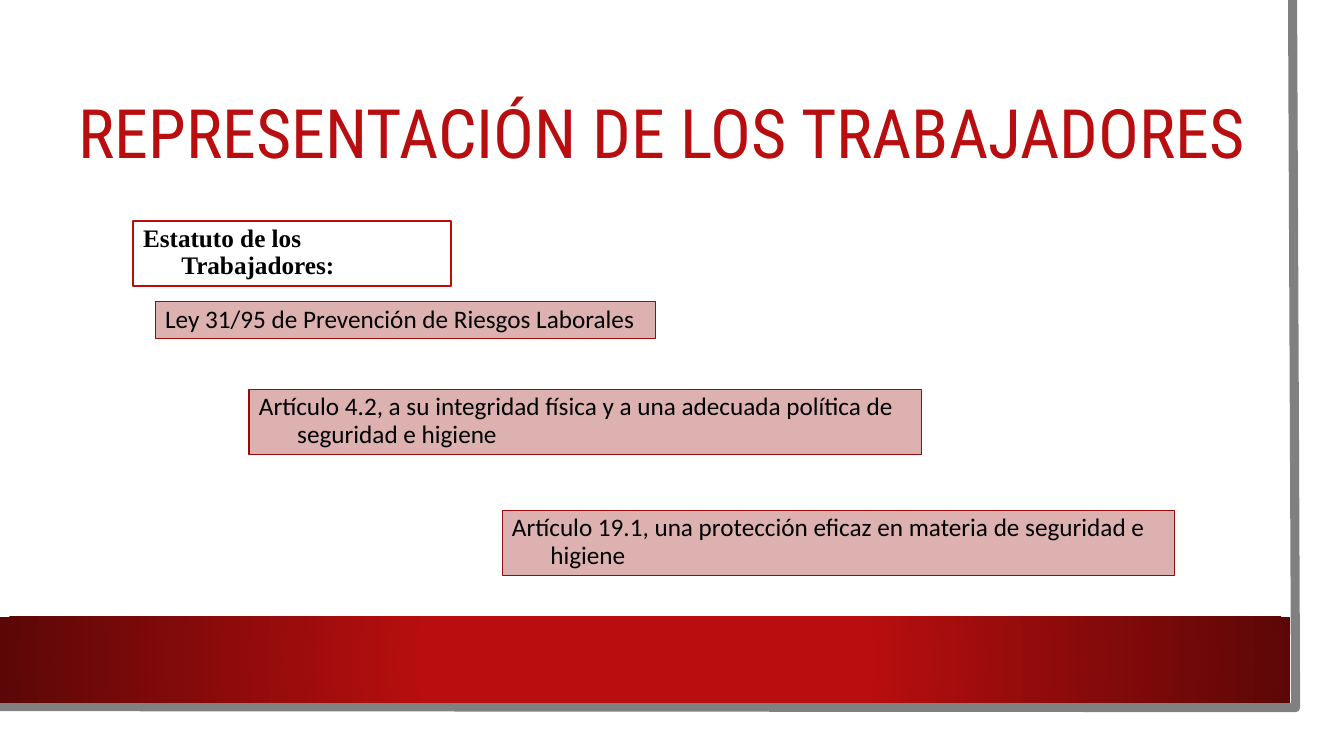
"""Build the slide on workers' representation."""
from dataclasses import dataclass

from lxml.etree import SubElement
from pptx import Presentation
from pptx.dml.color import RGBColor
from pptx.enum.shapes import MSO_SHAPE
from pptx.enum.text import MSO_ANCHOR, MSO_AUTO_SIZE, PP_ALIGN
from pptx.oxml import parse_xml
from pptx.oxml.ns import nsdecls, qn
from pptx.shapes.autoshape import Shape
from pptx.slide import Slide
from pptx.text.text import _Paragraph as Paragraph
from pptx.util import Inches, Pt

RED = "B80E0F"
DARK_RED = "5C0707"
GREY = "808080"


@dataclass
class LawBox:
    left: float
    top: float
    width: float
    height: float
    text: str
    font: str = "Calibri"
    bold: bool = False
    fill: str = "DEB1B1"
    line: str = "930B0C"
    line_width: float = 0.75


LAW_BOXES = [
    LawBox(1.32, 2.19, 3.15, 0.65, "Estatuto de los Trabajadores:",
           "Times New Roman", True, "FFFFFF", RED, 1.5),
    LawBox(1.54, 2.99, 4.96, 0.37, "Ley 31/95 de Prevención de Riesgos Laborales"),
    LawBox(4.98, 5.06, 6.67, 0.65,
           "Artículo 19.1, una protección eficaz en materia de seguridad e higiene"),
    LawBox(2.47, 3.86, 6.67, 0.65,
           "Artículo 4.2, a su integridad física y a una adecuada política de seguridad e higiene"),
]


def color(value: str) -> RGBColor:
    return RGBColor.from_string(value)


def format_paragraph(para: Paragraph, font: str, size: float, ink: str, bold: bool = False) -> None:
    para.alignment = PP_ALIGN.LEFT
    para.line_spacing = 0.9
    for span in para.runs:
        span.font.name = font
        span.font.size = Pt(size)
        span.font.bold = bold
        span.font.color.rgb = color(ink)


def add_rectangle(page: Slide, left: float, top: float, width: float, height: float) -> Shape:
    box = page.shapes.add_shape(
        MSO_SHAPE.RECTANGLE, Inches(left), Inches(top), Inches(width), Inches(height))
    box.shadow.inherit = False
    return box


def add_edge(page: Slide) -> None:
    builder = page.shapes.build_freeform(Inches(12.82), 0, scale=1.0)
    corners = [(Inches(12.85), Inches(7.02)), (Inches(-0.03), Inches(7.01))]
    builder.add_line_segments(corners, close=False)
    edge = builder.convert_to_shape()
    edge.shadow.inherit = False
    edge.fill.background()
    edge.line.color.rgb = color(GREY)
    edge.line.width = Pt(6.5)


def add_band(page: Slide) -> None:
    band = add_rectangle(page, 0, 6.12, 12.8, 0.85)
    band.line.fill.background()
    gradient = parse_xml(f'<a:gradFill {nsdecls("a")} rotWithShape="1"/>')
    stops = SubElement(gradient, qn("a:gsLst"))
    for position, value in ((34, RED), (100, DARK_RED)):
        stop = SubElement(stops, qn("a:gs"), pos=str(position * 1000))
        SubElement(stop, qn("a:srgbClr"), val=value)
    circle = SubElement(gradient, qn("a:path"), path="circle")
    SubElement(circle, qn("a:fillToRect"), l="50000", t="50000", r="50000", b="50000")
    band.element.spPr.find(qn("a:prstGeom")).addnext(gradient)


def add_title(page: Slide) -> None:
    title = page.shapes.add_textbox(Inches(0.38), Inches(0.72), Inches(12.1), Inches(1.26))
    frame = title.text_frame
    frame.word_wrap = True
    frame.vertical_anchor = MSO_ANCHOR.MIDDLE
    frame.margin_left = Inches(0.4)
    frame.margin_right = 0
    frame.text = "REPRESENTACIÓN DE LOS TRABAJADORES"
    format_paragraph(frame.paragraphs[0], "Roboto Condensed", 48.6, RED)


def add_law_box(page: Slide, law: LawBox) -> None:
    box = add_rectangle(page, law.left, law.top, law.width, law.height)
    box.fill.solid()
    box.fill.fore_color.rgb = color(law.fill)
    box.line.color.rgb = color(law.line)
    box.line.width = Pt(law.line_width)
    frame = box.text_frame
    frame.word_wrap = True
    frame.auto_size = MSO_AUTO_SIZE.SHAPE_TO_FIT_TEXT
    frame.vertical_anchor = MSO_ANCHOR.TOP
    frame.text = law.text
    para = frame.paragraphs[0]
    format_paragraph(para, law.font, 18, "000000", law.bold)
    properties = para._p.get_or_add_pPr()
    properties.set("marL", str(Inches(0.38)))
    properties.set("indent", str(Inches(-0.38)))


def main() -> None:
    deck = Presentation()
    deck.slide_width = Inches(13.33)
    deck.slide_height = Inches(7.5)
    page = deck.slides.add_slide(deck.slide_layouts[6])
    add_edge(page)
    add_band(page)
    add_title(page)
    for law in LAW_BOXES:
        add_law_box(page, law)
    deck.save("out.pptx")


if __name__ == "__main__":
    main()
